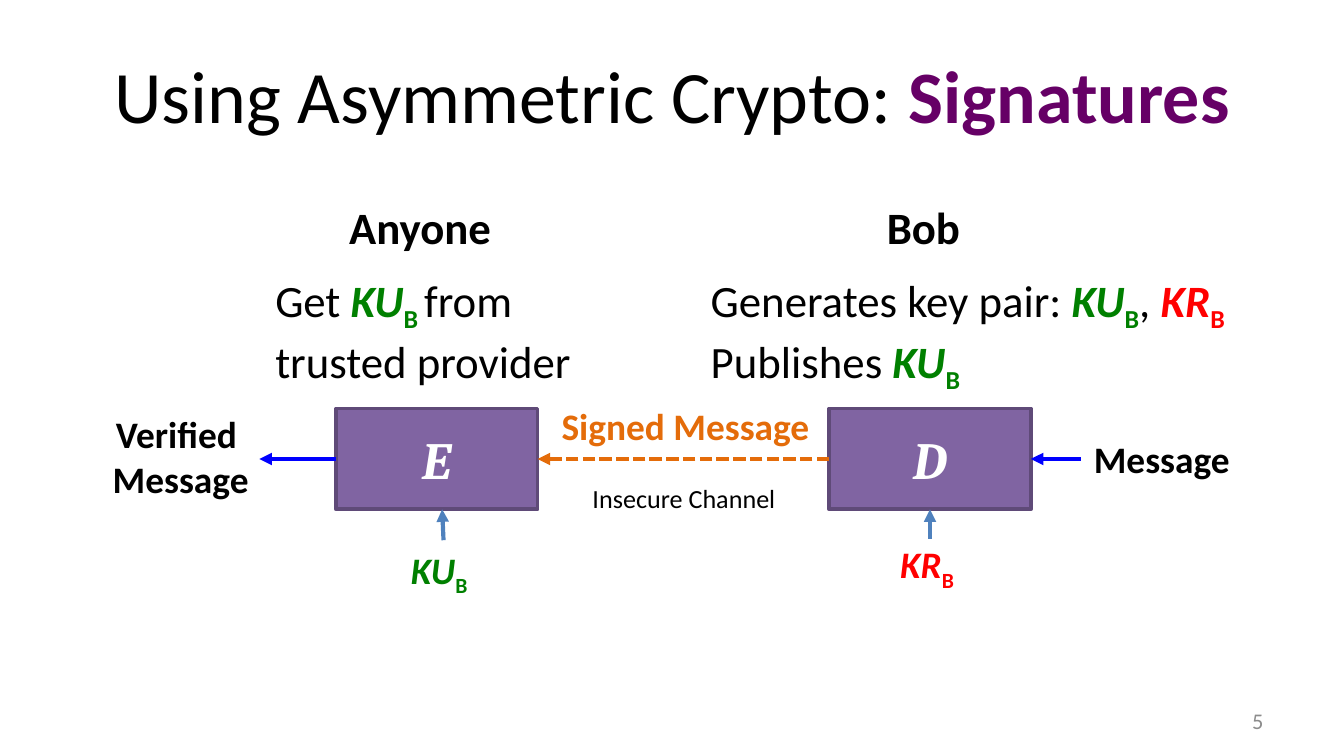
from lxml import etree
from pptx import Presentation
from pptx.dml.color import RGBColor
from pptx.enum.dml import MSO_LINE
from pptx.enum.shapes import MSO_CONNECTOR, MSO_SHAPE
from pptx.enum.text import MSO_ANCHOR, PP_ALIGN
from pptx.oxml.ns import qn
from pptx.util import Inches, Pt

LEFT, CENTER, RIGHT = PP_ALIGN.LEFT, PP_ALIGN.CENTER, PP_ALIGN.RIGHT
TOP, MIDDLE = MSO_ANCHOR.TOP, MSO_ANCHOR.MIDDLE
DASH = MSO_LINE.SQUARE_DOT
STRAIGHT, RECT = MSO_CONNECTOR.STRAIGHT, MSO_SHAPE.RECTANGLE
SIDE_LEFT, SIDE_BOTTOM, SIDE_RIGHT = 1, 2, 3

BLACK = RGBColor(0x00, 0x00, 0x00)
WHITE = RGBColor(0xFF, 0xFF, 0xFF)
GRAY = RGBColor(0x8C, 0x8C, 0x8C)
PLUM = RGBColor(0x66, 0x00, 0x66)
PURPLE = RGBColor(0x80, 0x64, 0xA2)
PURPLE_EDGE = RGBColor(0x5F, 0x4A, 0x78)
ORANGE = RGBColor(0xE4, 0x6C, 0x0A)
BLUE = RGBColor(0x00, 0x00, 0xFF)
STEEL = RGBColor(0x4F, 0x81, 0xBD)
GREEN = RGBColor(0x00, 0x80, 0x00)
RED = RGBColor(0xFF, 0x00, 0x00)


def key(name, color, tail=""):
    """Return the runs of one of Bob's keys, with its subscript."""
    return [(name, dict(color=color, bold=True, italic=True)),
            ("B" + tail, dict(color=color, bold=True, sub=True))]


PUBLIC_KEY = key("KU", GREEN)
PRIVATE_KEY = key("KR", RED)


def write(tf, paragraphs, size=20, color=BLACK, bold=False, italic=False,
          font="Calibri", align=LEFT, anchor=TOP, wrap=True):
    """Fill a text frame; a paragraph is a string or a list of (text, format) runs."""
    tf.word_wrap = wrap
    tf.vertical_anchor = anchor
    for i, runs in enumerate(paragraphs):
        p = tf.paragraphs[0] if i == 0 else tf.add_paragraph()
        p.alignment = align
        for text, fmt in [(runs, {})] if isinstance(runs, str) else runs:
            r = p.add_run()
            r.text = text
            r.font.name = font
            r.font.size = Pt(size)
            r.font.bold = fmt.get("bold", bold)
            r.font.italic = fmt.get("italic", italic)
            r.font.color.rgb = fmt.get("color", color)
            if fmt.get("sub"):
                r.font._element.set("baseline", "-25000")


def add_text(s, box, paragraphs, **fmt):
    """Add a text box."""
    sp = s.shapes.add_textbox(*map(Inches, box))
    write(sp.text_frame, paragraphs, **fmt)


def add_arrow(s, start, end, color, begin=None, finish=None, dash=None):
    """Add an arrow, joined to (shape, side) pairs where given."""
    cx = s.shapes.add_connector(STRAIGHT, *map(Inches, (*start, *end)))
    if begin:
        cx.begin_connect(*begin)
    if finish:
        cx.end_connect(*finish)
    cx.line.color.rgb = color
    cx.line.width = Pt(2.25)
    if dash:
        cx.line.dash_style = dash
    etree.SubElement(cx.line._get_or_add_ln(), qn("a:tailEnd"), type="triangle")
    etree.SubElement(cx._element.spPr, qn("a:effectLst"))


def add_title(s, box):
    """Place and write the slide title."""
    sp = s.shapes.title
    sp.left, sp.top, sp.width, sp.height = map(Inches, box)
    runs = [("Using Asymmetric Crypto: ", {}),
            ("Signatures", dict(color=PLUM, bold=True))]
    write(sp.text_frame, [runs], size=39.6, align=CENTER, anchor=MIDDLE)


def add_party(s, box, name, name_x, name_w, steps):
    """Add a party's name above the steps it takes."""
    x, y, w, h = box
    add_text(s, (x + name_x, y, name_w, 0.5), [name], size=24, bold=True, wrap=False)
    add_text(s, (x, y + 0.54, w, h - 0.54), steps, size=24)


def add_cipher(s, box, letter):
    """Add the block of one cipher function."""
    sp = s.shapes.add_shape(RECT, *map(Inches, box))
    sp.shadow.inherit = False
    sp.fill.solid()
    sp.fill.fore_color.rgb = PURPLE
    sp.line.color.rgb = PURPLE_EDGE
    sp.line.width = Pt(2)
    write(sp.text_frame, [letter], size=28, color=WHITE, bold=True, italic=True,
          font="Cambria", align=CENTER, anchor=MIDDLE, wrap=False)
    return sp


def add_flow(s, box):
    """Add the path from Bob's message to the verified message."""
    x, y, w, h = box
    block_w, mid = 1.5, y + h / 2
    x_right = x + w - block_w
    e = add_cipher(s, (x, y, block_w, h), "E")
    d = add_cipher(s, (x_right, y, block_w, h), "D")

    add_arrow(s, (x_right, mid), (x + block_w, mid), ORANGE,
              (d, SIDE_LEFT), (e, SIDE_RIGHT), DASH)
    add_arrow(s, (x, mid), (x - 0.57, mid), BLUE, begin=(e, SIDE_LEFT))
    add_arrow(s, (x + w + 0.37, mid), (x + w, mid), BLUE, finish=(d, SIDE_RIGHT))
    add_arrow(s, (x + 0.8, y + 0.98), (x + 0.79, y + h), STEEL)
    add_arrow(s, (x_right + block_w / 2, y + 0.97), (x_right + block_w / 2, y + h),
              STEEL, finish=(d, SIDE_BOTTOM))

    add_text(s, (x - 1.77, y - 0.03, 1.23, 0.77), ["Verified ", "Message"],
             bold=True, align=CENTER, wrap=False)
    add_text(s, (x + 1.58, y - 0.09, 2.07, 0.44), ["Signed Message"],
             color=ORANGE, bold=True, wrap=False)
    add_text(s, (x + 1.72, y + 0.5, 1.74, 0.34), ["Insecure Channel"],
             size=14, align=CENTER)
    add_text(s, (x + w + 0.37, y + 0.16, 1.23, 0.44), ["Message"],
             bold=True, wrap=False)
    add_text(s, (x + 0.46, y + 0.98, 0.67, 0.44), [PUBLIC_KEY], wrap=False)
    add_text(s, (x_right + 0.43, y + 0.94, 0.64, 0.44), [PRIVATE_KEY], wrap=False)


def main():
    """Build the slide and save it."""
    prs = Presentation()
    prs.slide_width = Inches(10)
    prs.slide_height = prs.slide_width * 9 // 16
    s = prs.slides.add_slide(prs.slide_layouts[5])
    add_title(s, (0.5, 0.23, 9, 0.94))
    add_party(s, (1.95, 1.44, 2.5, 1.45), "Anyone", 0.55, 1.28,
              [[("Get ", {}), *key("KU", GREEN, " "), ("from trusted provider", {})]])
    add_party(s, (5.19, 1.44, 4.56, 1.45), "Bob", 1.31, 0.75,
              [[("Generates key pair: ", {}), *PUBLIC_KEY, (", ", {}), *PRIVATE_KEY],
               [("Publishes ", {}), *PUBLIC_KEY]])
    add_flow(s, (2.5, 3.04, 5.17, 0.75))
    add_text(s, (7.17, 5.21, 2.33, 0.3), ["5"], size=12, color=GRAY,
             align=RIGHT, anchor=MIDDLE)
    prs.save("out.pptx")


if __name__ == "__main__":
    main()
